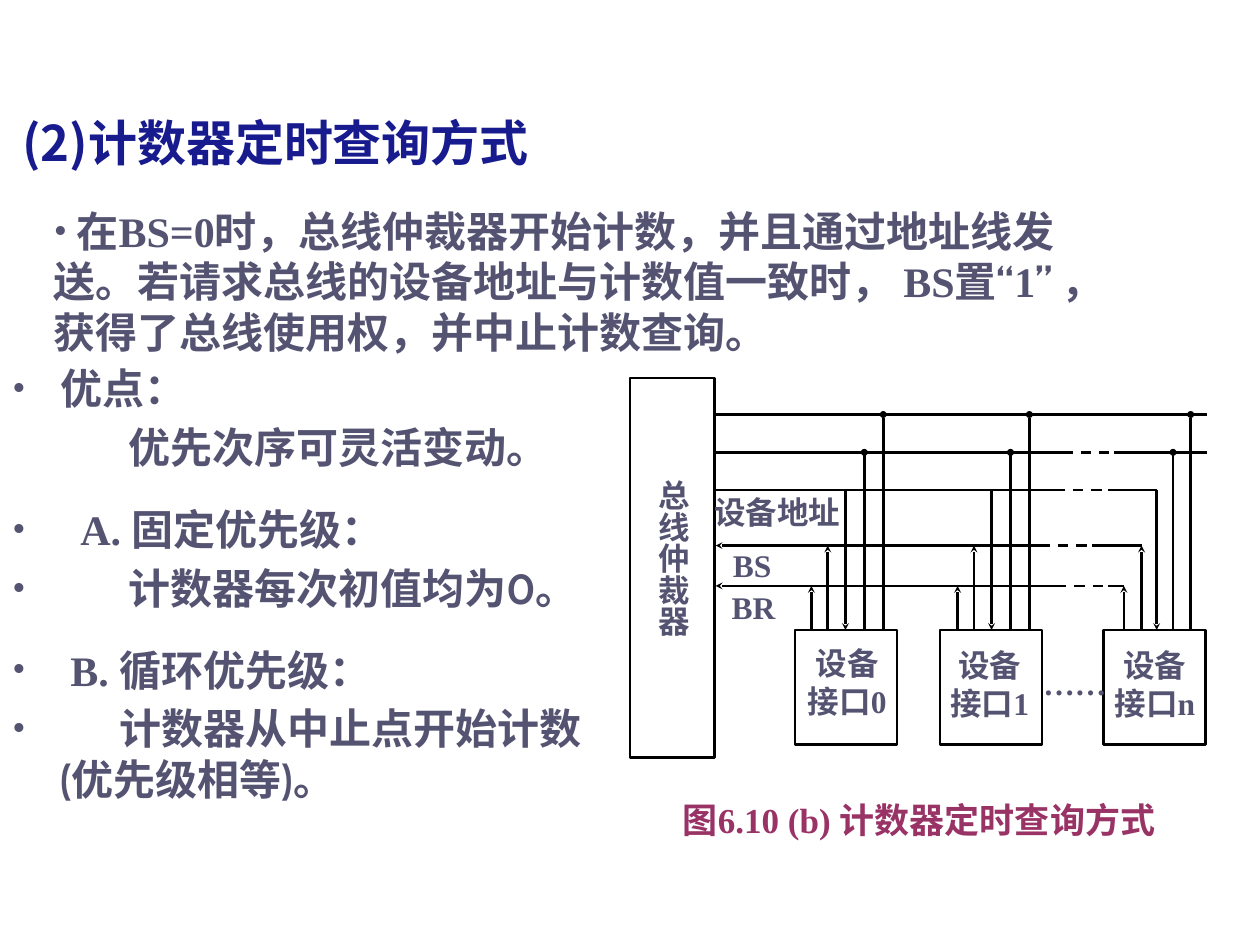
"""Build the slide on counter-timed polling for bus arbitration."""
import pptx
import pptx.util
import pptx.dml.color
import pptx.enum.dml
import pptx.enum.shapes
import pptx.enum.text
import pptx.oxml
import pptx.oxml.ns

COLORS = {"title": "181B8E", "text": "545472", "caption": "993366", "line": "000000", "fill": "FFFFFF"}
SERIF, SANS, ROUND = "Times New Roman", "Noto Sans CJK SC", "Cabin"
ALIGN = pptx.enum.text.PP_ALIGN
qn = pptx.oxml.ns.qn

prs = pptx.Presentation()
prs.slide_width, prs.slide_height = pptx.util.Inches(10), pptx.util.Inches(7.5)
s = prs.slides.add_slide(prs.slide_layouts[6])
COLS = 100
cell = prs.slide_width / COLS


def add_text(left, top, width, height, paragraphs, size=18, color="text", align=ALIGN.CENTER, inset=(0, 0)):
    """Add a text box on the grid; each paragraph is a list of (text, font) runs."""
    sp = s.shapes.add_textbox(*(int(v * cell) for v in (left, top, width, height)))
    tf = sp.text_frame
    tf.word_wrap = True
    tf.margin_left = tf.margin_right = int(inset[0] * cell)
    tf.margin_top = tf.margin_bottom = int(inset[1] * cell)
    for i, runs in enumerate(paragraphs):
        p = tf.paragraphs[0] if i == 0 else tf.add_paragraph()
        p.alignment = align
        for text, font in runs:
            r = p.add_run()
            r.text = text
            r.font.name, r.font.size, r.font.bold = font, pptx.util.Pt(size), True
            r.font.color.rgb = pptx.dml.color.RGBColor.from_string(COLORS[color])
            ea = pptx.oxml.parse_xml(f'<a:ea {pptx.oxml.ns.nsdecls("a")} typeface="{ROUND}"/>')
            r.font._element.find(qn("a:latin")).addnext(ea)
    return sp


def add_line(x1, y1, x2, y2, end=None, kind=None, dashed=False):
    """Add a black connector on the grid, with an optional headEnd or tailEnd mark."""
    sp = s.shapes.add_connector(
        pptx.enum.shapes.MSO_CONNECTOR.STRAIGHT, *(int(v * cell) for v in (x1, y1, x2, y2)))
    sp.line.width = pptx.util.Pt(1.5)
    sp.line.color.rgb = pptx.dml.color.RGBColor.from_string(COLORS["line"])
    if dashed:
        sp.line.dash_style = pptx.enum.dml.MSO_LINE.DASH
    if end:
        sp.line._get_or_add_ln().append(pptx.oxml.parse_xml(
            f'<a:{end} {pptx.oxml.ns.nsdecls("a")} type="{kind}" w="sm" len="sm"/>'))
    sp._element.spPr.append(pptx.oxml.parse_xml(f'<a:effectLst {pptx.oxml.ns.nsdecls("a")}/>'))


sp = add_text(0.8, 7.6, 49.2, 6.6, [[("(2)计数器定时查询方式", SANS)]], 28, "title", ALIGN.LEFT, (1, 0.6))
sp.text_frame.vertical_anchor = pptx.enum.text.MSO_ANCHOR.BOTTOM

points = [
    ([("优点：", SERIF)], 3.8, -3.8, 0),
    ([("优先次序可灵活变动。", SERIF)], 9.2, 0, 4.8),
    ([("A. 固定优先级：", SERIF)], 5.4, -5.4, 18),
    ([("计数器每次初值均为", SERIF), ("0", ROUND), ("。", SERIF)], 9.2, -9.2, 4.8),
    ([("B. 循环优先级：", SERIF)], 4.6, -4.6, 18),
    ([("计数器从中止点开始计数", SERIF)], 8.5, -8.5, 4.8),
    ([("(", ROUND), ("优先级相等", SERIF), (")。", ROUND)], 3.8, 0, 0),
]
body = add_text(0, 28.3, 48.3, 35.8, [point[0] for point in points], 24, align=ALIGN.LEFT, inset=(1, 0.5))
body.text_frame.margin_right = 0
intro = add_text(3.3, 15.8, 86.7, 13, [[
    (" 在", SANS),
    ("BS=0时，总线仲裁器开始计数，并且通过地址线发送。若请求总线的设备地址与计数值一致时， BS置“1” ", SERIF),
    ("，获得了总线使用权，并中止计数查询。", SANS),
]], 24, align=ALIGN.LEFT, inset=(1, 0.5))
intro.text_frame.margin_right = int(3.2 * cell)

layout = [(p, *point[1:]) for p, point in zip(body.text_frame.paragraphs, points)]
layout.append((intro.text_frame.paragraphs[0], 0, 0, 0))
for p, margin, indent, before in layout:
    p.space_before = pptx.util.Pt(before)
    pPr = p._p.get_or_add_pPr()
    pPr.set("marL", str(int(margin * cell)))
    pPr.set("indent", str(int(indent * cell)))
    if indent or p is layout[-1][0]:
        for xml in ('buSzPct {} val="90000"', 'buFont {} typeface="Times New Roman"', 'buChar {} char="•"'):
            pPr.append(pptx.oxml.parse_xml(f'<a:{xml.format(pptx.oxml.ns.nsdecls("a"))}/>'))

DEVICE_TOP = 50
boxes = [(50, 30, 6.7, 30.1)] + [(x, DEVICE_TOP, 8.1, 9.1) for x in (63.1, 74.6, 87.6)]
for box in boxes:
    sp = s.shapes.add_shape(pptx.enum.shapes.MSO_SHAPE.RECTANGLE, *(int(v * cell) for v in box))
    sp.shadow.inherit = False
    sp.fill.solid()
    sp.fill.fore_color.rgb = pptx.dml.color.RGBColor.from_string(COLORS["fill"])
    sp.line.color.rgb = pptx.dml.color.RGBColor.from_string(COLORS["line"])
    sp.line.width = pptx.util.Pt(1.5)

sp = add_text(52, 38.1, 2.9, 16.8, [[("总线仲裁器", SERIF)]], align=ALIGN.LEFT)
sp.text_frame._txBody.bodyPr.set("vert", "eaVert")

DATA, CONTROL, ADDRESS, BS, BR = 32.9, 35.9, 38.9, 43.3, 46.5
BUS_LEFT, BUS_RIGHT = 56.8, 95.8
add_line(BUS_LEFT, DATA, BUS_RIGHT, DATA)
for y, dash_start, dash_end, right, mark in [
    (CONTROL, 84.3, 88.4, BUS_RIGHT, None),
    (ADDRESS, 83.7, 87.9, 91.8, None),
    (BS, 82.5, 86.7, 90.6, "headEnd"),
    (BR, 83.8, 87.9, 89.2, "headEnd"),
]:
    add_line(BUS_LEFT, y, dash_start, y, mark, "stealth")
    add_line(dash_start, y, dash_end, y, dashed=True)
    add_line(dash_end, y, right, y)

for br_x, bs_x, address_x, control_x, data_x in [
    (64.4, 65.7, 67.1, 68.6, 70.1),
    (76, 77.3, 78.7, 80.2, 81.7),
    (89.2, 90.6, 91.8, 93.1, 94.5),
]:
    add_line(address_x, ADDRESS, address_x, DEVICE_TOP, "tailEnd", "stealth")
    for x, y, kind in [(br_x, BR, "stealth"), (bs_x, BS, "stealth"), (control_x, CONTROL, "oval"), (data_x, DATA, "oval")]:
        add_line(x, DEVICE_TOP, x, y, "tailEnd", kind)

for left, top, width, height, lines in [
    (57.4, 43.3, 4.6, 3.8, ["BS"]),
    (57.5, 46.7, 4.6, 3.8, ["BR"]),
    (55.1, 39.1, 13.2, 3.4, ["设备地址"]),
    (62.5, 51.1, 9.5, 7.2, ["设备", "接口0"]),
    (73.7, 51.3, 9.7, 7, ["设备", "接口1"]),
    (87.5, 51.3, 8.3, 7, ["设备", "接口n"]),
    (82.7, 52.7, 5.2, 3.9, ["……"]),
]:
    add_text(left, top, width, height, [[(line, SERIF)] for line in lines])

add_text(54.2, 63.4, 40.4, 4.1, [[("图6.10 (b) 计数器定时查询方式", SERIF)]], 20, "caption", ALIGN.LEFT)

prs.save("out.pptx")
